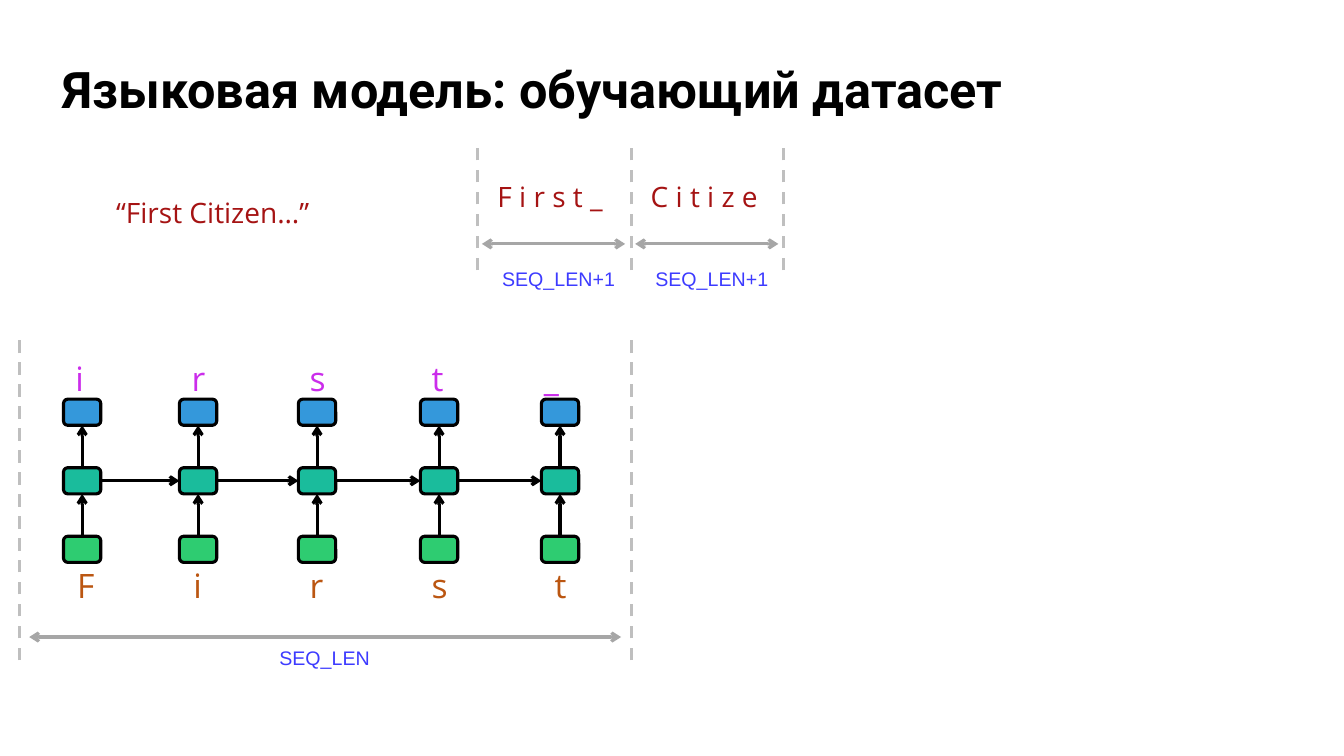
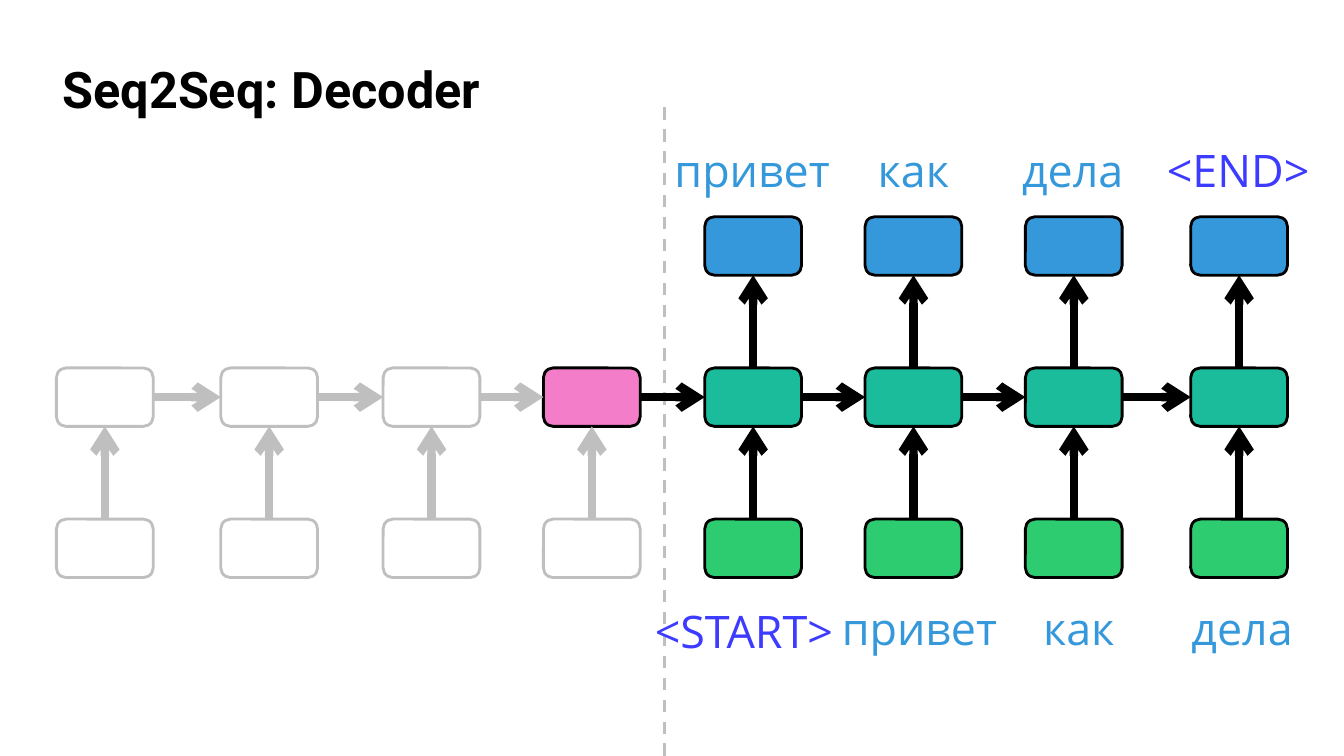
from dataclasses import dataclass
from itertools import pairwise

from lxml.etree import SubElement
from pptx import Presentation
from pptx.dml.color import RGBColor
from pptx.enum.dml import MSO_LINE
from pptx.enum.shapes import MSO_CONNECTOR, MSO_SHAPE
from pptx.enum.text import MSO_ANCHOR, MSO_AUTO_SIZE, PP_ALIGN
from pptx.oxml.ns import qn
from pptx.presentation import Presentation as Deck
from pptx.shapes.autoshape import Shape
from pptx.shapes.connector import Connector
from pptx.slide import Slide
from pptx.text.text import TextFrame
from pptx.util import Inches, Pt

HUES = {
    "black": "000000",
    "white": "FFFFFF",
    "input": "2ECC71",
    "state": "1ABC9C",
    "output": "3498DB",
    "context": "F37DC9",
    "pale": "BFBFBF",
    "grey": "A6A6A6",
    "mark": "3D3BFF",
    "quote": "A51313",
    "source": "BB5611",
    "target": "CB2DEB",
}
TOP, LEFT, BOTTOM, RIGHT = range(4)


@dataclass(frozen=True)
class Style:
    """Size of a network's cells, and line widths in points."""
    width: float
    height: float
    edge: float
    arrow: float


@dataclass(frozen=True)
class Font:
    name: str
    size: float
    hue: str
    bold: bool = False


@dataclass(frozen=True)
class Label:
    text: str
    mid: float
    top: float
    font: Font
    width: float = 0.9
    align: PP_ALIGN = PP_ALIGN.CENTER


@dataclass(frozen=True)
class Cell:
    x: float
    y: float
    fill: str
    edge: str = "black"


HEAD = Font("Roboto", 36, "black", True)
QUOTE = Font("Open Sans", 20, "quote")
NOTE = Font("Arial", 14, "mark")
SOURCE = Font("Open Sans", 24, "source")
TARGET = Font("Open Sans", 24, "target")
WORD = Font("Open Sans", 32, "output")
TOKEN = Font("Open Sans", 32, "mark")


def color(hue: str) -> RGBColor:
    return RGBColor.from_string(HUES[hue])


def write(frame: TextFrame, text: str, font: Font, align: PP_ALIGN) -> None:
    para = frame.paragraphs[0]
    para.alignment = align
    run = para.add_run()
    run.text = text
    run.font.name = font.name
    run.font.size = Pt(font.size)
    run.font.bold = font.bold
    run.font.color.rgb = color(font.hue)


def start(deck: Deck, title: str) -> Slide:
    """Add a slide with the shared title style."""
    slide = deck.slides.add_slide(deck.slide_layouts[5])
    head = slide.shapes.title
    head.left, head.top = Inches(0.52), Inches(0.55)
    head.width, head.height = Inches(12.69), Inches(0.72)
    frame = head.text_frame
    frame.auto_size = MSO_AUTO_SIZE.NONE
    frame.vertical_anchor = MSO_ANCHOR.MIDDLE
    frame.paragraphs[0].line_spacing = 0.9
    write(frame, title, HEAD, PP_ALIGN.LEFT)
    return slide


def put(slide: Slide, label: Label) -> None:
    size = label.font.size
    shape = slide.shapes.add_textbox(
        Inches(label.mid - label.width / 2), Inches(label.top),
        Inches(label.width), Inches(0.1 + size / 60))
    shape.text_frame.word_wrap = True
    write(shape.text_frame, label.text, label.font, label.align)


def draw(slide: Slide, cell: Cell, style: Style) -> Shape:
    shape = slide.shapes.add_shape(
        MSO_SHAPE.ROUNDED_RECTANGLE, Inches(cell.x), Inches(cell.y),
        Inches(style.width), Inches(style.height))
    shape.shadow.inherit = False
    shape.fill.solid()
    shape.fill.fore_color.rgb = color(cell.fill)
    shape.line.color.rgb = color(cell.edge)
    shape.line.width = Pt(style.edge)
    return shape


def line(slide: Slide, x1: float, y1: float, x2: float, y2: float,
         hue: str, width: float = 2.25, ends: tuple[str, ...] = (),
         dash: bool = False) -> Connector:
    """Draw a straight line; ends lists headEnd and tailEnd arrows."""
    link = slide.shapes.add_connector(
        MSO_CONNECTOR.STRAIGHT, Inches(x1), Inches(y1), Inches(x2), Inches(y2))
    link.line.color.rgb = color(hue)
    link.line.width = Pt(width)
    if dash:
        link.line.dash_style = MSO_LINE.DASH
    props = link.line._get_or_add_ln()
    for end in ends:
        SubElement(props, qn(f"a:{end}"), type="arrow")
    SubElement(link._element.spPr, qn("a:effectLst"))
    return link


def join(slide: Slide, first: Shape, out: int, last: Shape, into: int,
         hue: str, style: Style) -> None:
    link = line(slide, 0, 0, 1, 1, hue, style.arrow, ("tailEnd",))
    link.begin_connect(first, out)
    link.end_connect(last, into)


def net(slide: Slide, stacks: list[list[Cell]], style: Style) -> None:
    """Draw stacks of cells from the input up, joined at the state row."""
    drawn = [[draw(slide, cell, style) for cell in stack] for stack in stacks]
    for stack, shapes in zip(stacks, drawn):
        for low, high in pairwise(shapes):
            join(slide, low, TOP, high, BOTTOM, stack[0].edge, style)
    for (stack, shapes), after in zip(zip(stacks, drawn), drawn[1:]):
        join(slide, shapes[1], RIGHT, after[1], LEFT, stack[1].edge, style)


def full(x: float, rows: tuple[float, ...]) -> list[Cell]:
    return [Cell(x, y, hue) for y, hue in zip(rows, ("input", "state", "output"))]


def span(slide: Slide, x1: float, x2: float, y: float) -> None:
    line(slide, x1, y, x2, y, "grey", ends=("headEnd", "tailEnd"))


def dataset(deck: Deck) -> None:
    slide = start(deck, "Языковая модель: обучающий датасет")
    put(slide, Label("“First Citizen…”", 2.11, 1.89, QUOTE, 2.37))
    for x in (4.74, 6.26, 7.77):
        line(slide, x, 2.68, x, 1.42, "pale", dash=True)
    for x, text in ((4.78, "F i r s t _"), (6.3, "C i t i z e")):
        put(slide, Label(text, x + 0.78, 1.73, QUOTE, 1.45, PP_ALIGN.LEFT))
        span(slide, x, x + 1.42, 2.42)
        put(slide, Label("SEQ_LEN+1", x + 0.76, 2.6, NOTE, 1.58))

    rows = (5.32, 4.64, 3.96)
    net(slide, [full(x, rows) for x in (0.63, 1.78, 2.96, 4.17, 5.37)],
        Style(0.37, 0.26, 2.25, 2.25))
    for text, mid in zip("irst_", (0.79, 1.97, 3.15, 4.34, 5.47)):
        put(slide, Label(text, mid, 3.5, TARGET))
    for text, mid in zip("First", (0.85, 1.96, 3.14, 4.36, 5.56)):
        put(slide, Label(text, mid, 5.56, SOURCE))

    for x in (0.19, 6.26):
        line(slide, x, 6.55, x, 3.29, "pale", dash=True)
    span(slide, 0.29, 6.16, 6.32)
    put(slide, Label("SEQ_LEN", 3.22, 6.36, NOTE, 1.58))


def decoder(deck: Deck) -> None:
    slide = start(deck, "Seq2Seq: Decoder")
    line(slide, 6.59, 7.5, 6.59, 0.99, "pale", dash=True)
    rows = (5.15, 3.65, 2.15)
    stacks = [[Cell(x, y, "white", "pale") for y in rows[:2]]
              for x in (0.56, 2.19, 3.8)]
    stacks.append([Cell(5.39, rows[0], "white", "pale"),
                   Cell(5.39, rows[1], "context")])
    stacks += [full(x, rows) for x in (6.99, 8.58, 10.17, 11.81)]
    net(slide, stacks, Style(0.96, 0.58, 2, 6))

    words = ("привет", "как", "дела")
    for tops, y in (((7.46, 9.06, 10.64), 1.37), ((9.12, 10.7, 12.32), 5.91)):
        for text, mid in zip(words, tops):
            put(slide, Label(text, mid, y, WORD, 1.85))
    put(slide, Label("<END>", 12.28, 1.37, TOKEN, 1.85))
    put(slide, Label("<START>", 7.38, 5.94, TOKEN, 2.05))


def main() -> None:
    deck = Presentation()
    deck.slide_width, deck.slide_height = Inches(13.33), Inches(7.5)
    dataset(deck)
    decoder(deck)
    deck.save("out.pptx")


if __name__ == "__main__":
    main()
